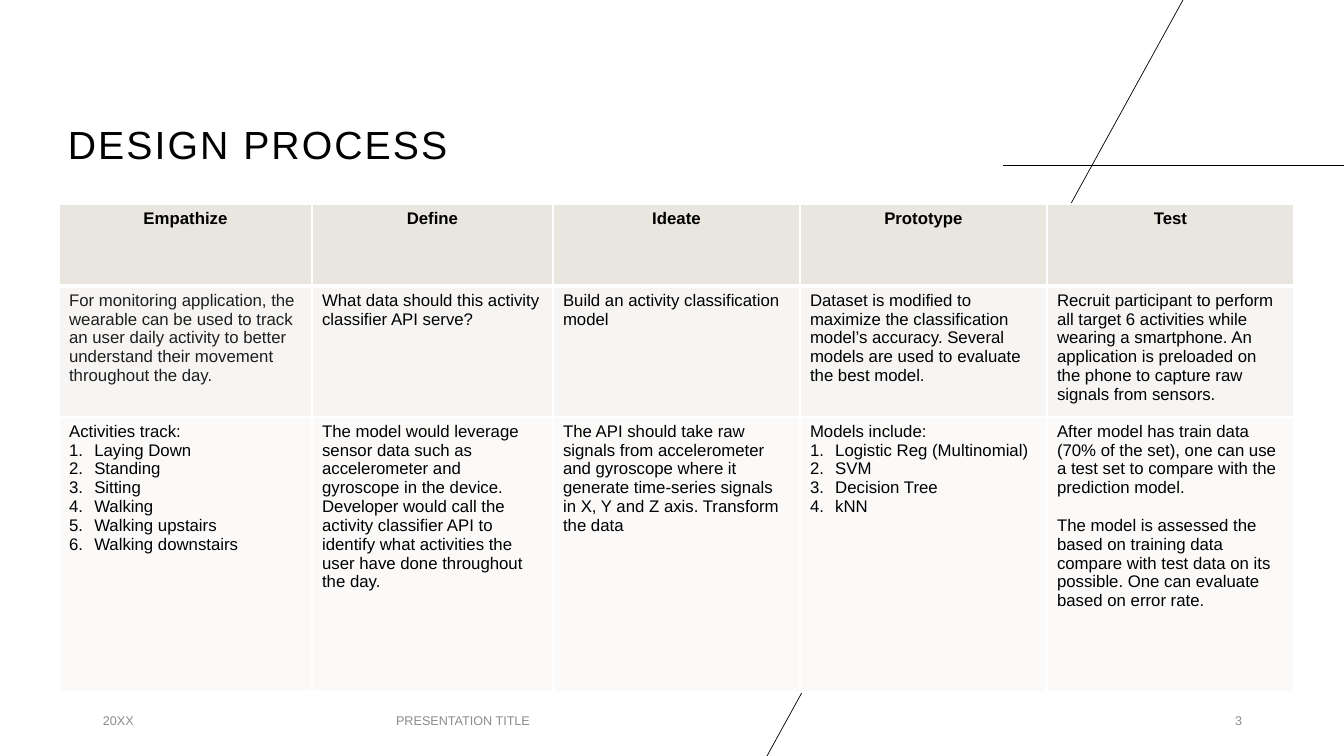
from pptx import Presentation
from pptx.dml.color import RGBColor
from pptx.enum.text import MSO_ANCHOR as Anchor, PP_ALIGN as Align
from pptx.oxml.ns import qn
from pptx.util import Pt
from lxml.etree import SubElement as Sub

# Content: a cell is a list of paragraphs, and a tuple in it is a numbered list
HEADS = ["Empathize", "Define", "Ideate", "Prototype", "Test"]
GOALS = [
    "For monitoring application, the wearable can be used to track an user daily "
    "activity to better understand their movement throughout the day.",
    "What data should this activity classifier API serve?",
    "Build an activity classification model",
    "Dataset is modified to maximize the classification model’s accuracy. "
    "Several models are used to evaluate the best model.",
    "Recruit participant to perform all target 6 activities while wearing a smartphone. "
    "An application is preloaded on the phone to capture raw signals from sensors.",
]
STEPS = [
    ["Activities track:", ("Laying Down", "Standing", "Sitting", "Walking",
                           "Walking upstairs", "Walking downstairs")],
    ["The model would leverage sensor data such as accelerometer and gyroscope in the "
     "device. Developer would call the activity classifier API to identify what "
     "activities the user have done throughout the day."],
    ["The API should take raw signals from accelerometer and gyroscope where it generate "
     "time-series signals in X, Y and Z axis. Transform the data"],
    ["Models include:", ("Logistic Reg (Multinomial)", "SVM", "Decision Tree", "kNN")],
    ["After model has train data (70% of the set), one can use a test set to compare "
     "with the prediction model.",
     "The model is assessed the based on training data compare with test data on its "
     "possible. One can evaluate based on error rate."],
]
ROWS = [[[t] for t in HEADS], [[t] for t in GOALS], STEPS]
FILLS = ["E9E6DF", "F7F5F3", "FBFAF9"]
WIDTHS = [253, 241, 247, 247, 247]
HEIGHTS = [82, 123, 275]
LINES = [(1003, 165, 1344, 165), (1183, 0, 767, 756)]
FOOT = [("20XX", 93, 134, Align.LEFT),
        ("PRESENTATION TITLE", 271, 384, Align.CENTER),
        ("3", 950, 302, Align.RIGHT)]


def px(n):
    return round(n * 12192000 / 1344)


def rgb(code):
    return RGBColor.from_string(code)


def write(frame, parts, size=12, color="000000", bold=False, align=Align.LEFT,
          gap=13.5, track=0, lead=None):
    items = []
    for part in parts:
        items += [(t, True) for t in part] if isinstance(part, tuple) else [(part, False)]
    for i, (text, listed) in enumerate(items):
        para = frame.paragraphs[0] if i == 0 else frame.add_paragraph()
        para.alignment = align
        if lead:
            para.line_spacing = lead
        if i and not listed:
            para.space_before = Pt(gap)
        if listed:
            props = para._p.get_or_add_pPr()
            props.set("marL", "228600")
            props.set("indent", "-228600")
            Sub(props, qn("a:buFont"), typeface="+mj-lt")
            Sub(props, qn("a:buAutoNum"), type="arabicPeriod")
        run = para.add_run()
        run.text = text
        font = run.font
        font.name, font.size, font.bold = "Arial", Pt(size), bold
        font.color.rgb = rgb(color)
        if track:
            run._r.get_or_add_rPr().set("spc", str(track))


def label(text, x, y, w, h, anchor, **style):
    frame = slide.shapes.add_textbox(px(x), px(y), px(w), px(h)).text_frame
    frame.word_wrap = True
    frame.vertical_anchor = anchor
    write(frame, [text], **style)


def edge(cell, side, width):
    line = Sub(cell._tc.get_or_add_tcPr(), qn("a:ln" + side), w=str(Pt(width)))
    Sub(Sub(line, qn("a:solidFill")), qn("a:srgbClr"), val="FFFFFF")


deck = Presentation()
deck.slide_width, deck.slide_height = px(1344), px(756)
slide = deck.slides.add_slide(deck.slide_layouts[6])

# Crossing lines behind the table
for ends in LINES:
    line = slide.shapes.add_connector(1, *map(px, ends))
    line.line.color.rgb = rgb("000000")
    line.line.width = Pt(0.5)
    Sub(line._element.spPr, qn("a:effectLst"))

# Title and footer
label("DESIGN PROCESS", 58, 40, 564, 133, Anchor.BOTTOM, size=28, track=150, lead=0.9)
for text, x, w, align in FOOT:
    label(text, x, 701, w, 40, Anchor.MIDDLE, size=9, color="8C8C8C", align=align)

# Table
table = slide.shapes.add_table(len(ROWS), len(WIDTHS), px(59), px(204),
                               px(sum(WIDTHS)), px(sum(HEIGHTS))).table
table.first_row = table.horz_banding = False
for col, w in zip(table.columns, WIDTHS):
    col.width = px(w)
for r, cells in enumerate(ROWS):
    table.rows[r].height = px(HEIGHTS[r])
    head = r == 0
    for c, parts in enumerate(cells):
        cell = table.cell(r, c)
        for side, width in (("L", 1), ("R", 1), ("T", 3 if r == 1 else 1),
                            ("B", 3 if head else 1)):
            edge(cell, side, width)
        cell.fill.solid()
        cell.fill.fore_color.rgb = rgb(FILLS[r])
        write(cell.text_frame, parts, bold=head,
              align=Align.CENTER if head else Align.LEFT,
              color="1F1F1F" if (r, c) == (1, 0) else "000000")

deck.save("out.pptx")
